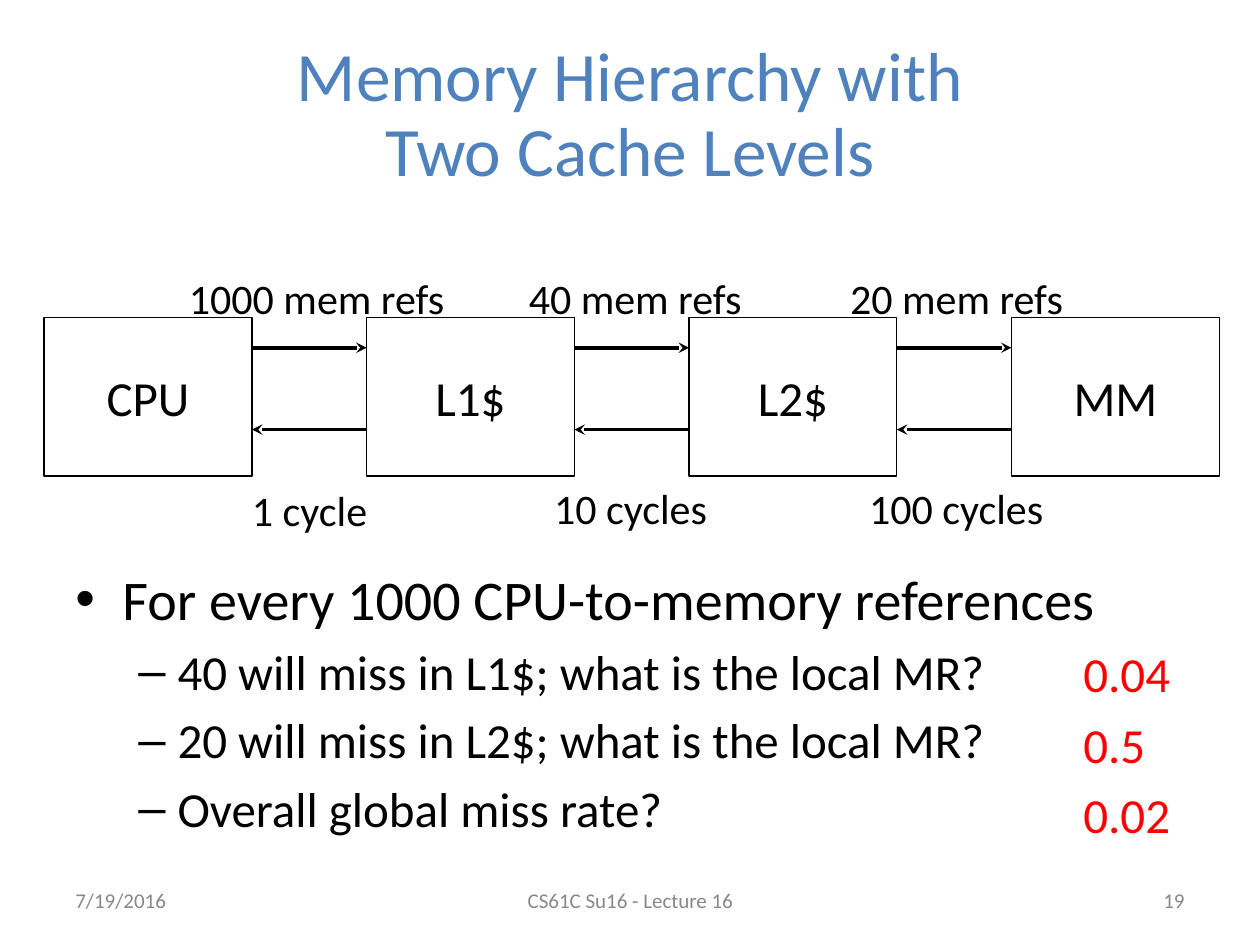
"""Build a slide on a memory hierarchy with two cache levels."""
from lxml import etree
from pptx import Presentation
from pptx import util as u
from pptx.dml.color import RGBColor
from pptx.enum import shapes, text
from pptx.oxml.ns import qn

Cm = u.Cm
LEFT, CENTER, RIGHT = text.PP_ALIGN.LEFT, text.PP_ALIGN.CENTER, text.PP_ALIGN.RIGHT
TOP, MIDDLE = text.MSO_ANCHOR.TOP, text.MSO_ANCHOR.MIDDLE

THEME = dict(
    font="Calibri", title="4F81BD", ink="000000", answer="FF0000", muted="888888",
    title_pt=39.6, body_pt=32, sub_pt=28, label_pt=24, footer_pt=12,
)

TITLE = ["Memory Hierarchy with", "Two Cache Levels"]
LEVELS = ["CPU", "L1$", "L2$", "MM"]
LABELS = [
    ("1000 mem refs", 3.56, 5.36, 5.72),
    ("40 mem refs", 10.41, 5.36, 4.85),
    ("20 mem refs", 16.89, 5.36, 4.85),
    ("1 cycle", 4.83, 9.65, 2.87),
    ("10 cycles", 10.92, 9.6, 3.63),
    ("100 cycles", 17.27, 9.6, 4.06),
]
BODY = [
    ("For every 1000 CPU-to-memory references", 0),
    ("40 will miss in L1$; what is the local MR?", 1),
    ("20 will miss in L2$; what is the local MR?", 1),
    ("Overall global miss rate?", 1),
]
BULLETS = [("•", 0.95, 0.95, "body_pt"), ("–", 2.06, 0.79, "sub_pt")]
ANSWERS = ["0.04", "0.5", "0.02"]
FOOTERS = [
    ("7/19/2016", 1.27, 5.93, LEFT),
    ("CS61C Su16 - Lecture 16", 8.69, 8.04, CENTER),
    ("19", 18.2, 5.93, RIGHT),
]

BOX_LEFT, BOX_TOP, BOX_W, BOX_H, BOX_PITCH = 0.89, 6.4, 4.19, 3.2, 6.5
ARROWS = [(7.01, "a:tailEnd"), (8.66, "a:headEnd")]


def apply(target, **formats):
    for name, value in formats.items():
        setattr(target, name, value)


def style(target, size, color):
    apply(target.font, name=THEME["font"], size=u.Pt(THEME[size]))
    target.font.color.rgb = RGBColor.from_string(THEME[color])


def write(tf, lines, size, color, align=LEFT, anchor=TOP, gap=0):
    apply(tf, word_wrap=True, auto_size=text.MSO_AUTO_SIZE.NONE, vertical_anchor=anchor)
    for i, line in enumerate(lines):
        p = tf.paragraphs[0] if i == 0 else tf.add_paragraph()
        apply(p, alignment=align, space_before=u.Pt(gap if i else 0))
        r = p.add_run()
        r.text = line
        style(r, size, color)
    return tf


def add_text(s, box, *args, **kwargs):
    return write(s.shapes.add_textbox(*map(Cm, box)).text_frame, *args, **kwargs)


def add_title(s):
    sp = s.shapes.title
    apply(sp, left=Cm(1.27), top=Cm(0.76), width=Cm(22.86), height=Cm(3.18))
    write(sp.text_frame, TITLE[:1], "title_pt", "title", CENTER, MIDDLE)
    p = sp.text_frame.paragraphs[0]
    p.line_spacing = 0.9
    p.add_line_break()
    r = p.add_run()
    r.text = TITLE[1]
    style(r, "title_pt", "title")


def add_level(s, name, left):
    sp = s.shapes.add_shape(shapes.MSO_SHAPE.RECTANGLE, *map(Cm, (left, BOX_TOP, BOX_W, BOX_H)))
    sp.shadow.inherit = False
    sp.fill.background()
    sp.line.color.rgb = RGBColor.from_string(THEME["ink"])
    sp.line.width = u.Pt(0.75)
    write(sp.text_frame, [name], "sub_pt", "ink", CENTER, MIDDLE)


def add_arrow(s, start, end, y, tip):
    cx = s.shapes.add_connector(shapes.MSO_CONNECTOR.STRAIGHT, *map(Cm, (start, y, end, y)))
    cx.line.color.rgb = RGBColor.from_string(THEME["ink"])
    cx.line.width = u.Pt(2)
    etree.SubElement(cx.line._get_or_add_ln(), qn(tip), type="stealth")
    etree.SubElement(cx._element.spPr, qn("a:effectLst"))


def add_body(s):
    tf = add_text(s, (1.27, 11.25, 22.86, 7.06), [line for line, _ in BODY],
                  "body_pt", "ink", gap=5.6)
    for p, (_, level) in zip(tf.paragraphs, BODY):
        mark, indent, hang, size = BULLETS[level]
        p.level = level
        pPr = p._p.get_or_add_pPr()
        pPr.set("marL", str(Cm(indent)))
        pPr.set("indent", str(-Cm(hang)))
        etree.SubElement(pPr, qn("a:buFont"), typeface="Arial")
        etree.SubElement(pPr, qn("a:buChar"), char=mark)
        style(p.runs[0], size, "ink")


def main():
    prs = Presentation()
    apply(prs, slide_width=Cm(25.4), slide_height=Cm(19.05))
    s = prs.slides.add_slide(prs.slide_layouts[5])
    add_title(s)
    add_body(s)
    for line, left, width, align in FOOTERS:
        add_text(s, (left, 17.65, width, 1.01), [line], "footer_pt", "muted", align, MIDDLE)
    lefts = [BOX_LEFT + i * BOX_PITCH for i in range(len(LEVELS))]
    for name, left in zip(LEVELS, lefts):
        add_level(s, name, left)
    for y, tip in ARROWS:
        for left, following in zip(lefts, lefts[1:]):
            add_arrow(s, left + BOX_W, following, y, tip)
    for line, left, top, width in LABELS:
        add_text(s, (left, top, width, 1.27), [line], "label_pt", "ink")
    add_text(s, (21.59, 12.85, 2.29, 4.34), ANSWERS, "sub_pt", "answer", gap=6.7)
    prs.save("out.pptx")


if __name__ == "__main__":
    main()
